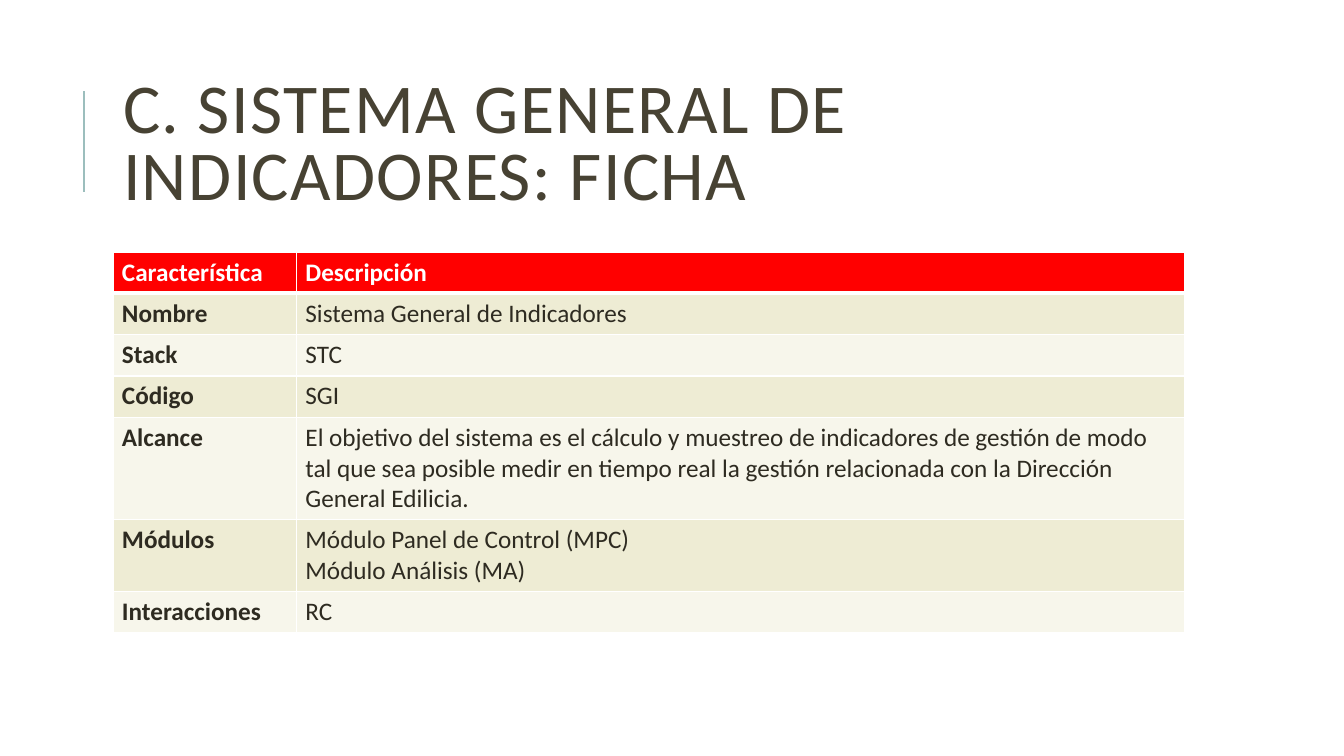
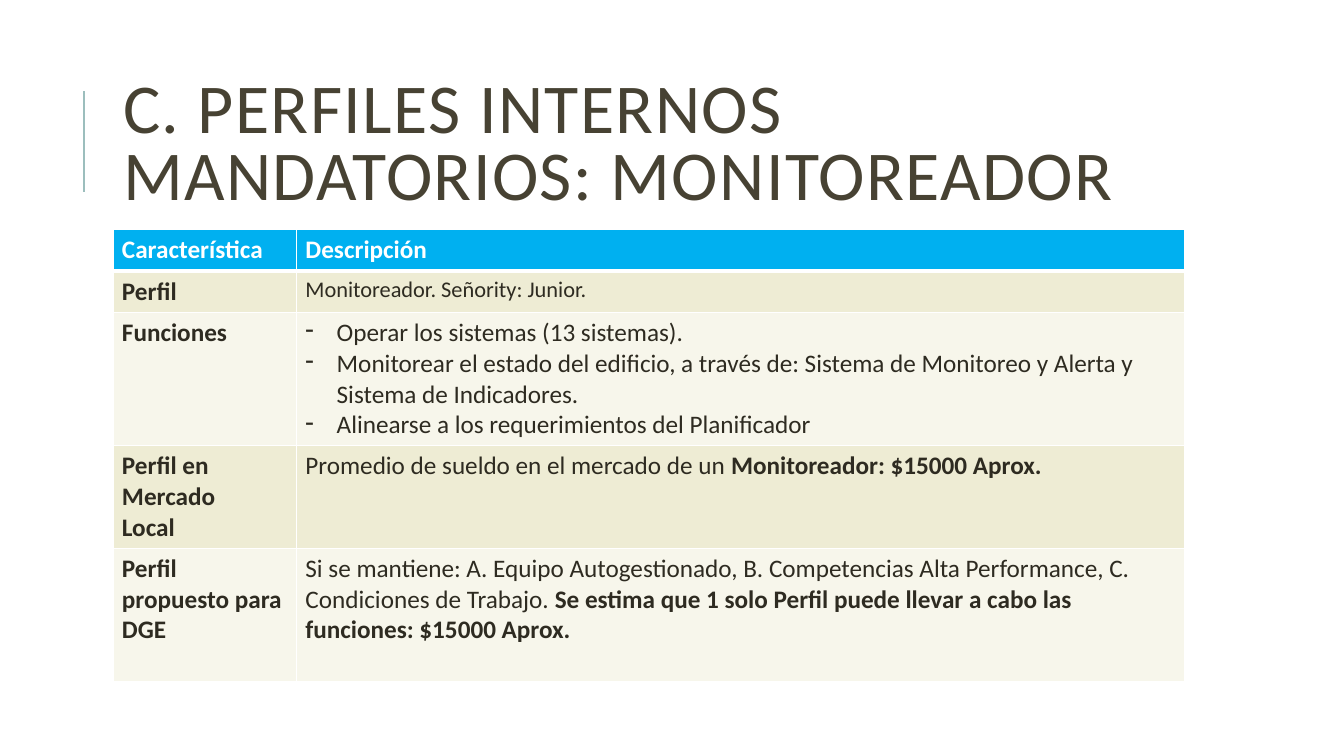
import pptx
import pptx.dml.color
import pptx.enum.shapes
import pptx.enum.text
import pptx.oxml
import pptx.oxml.ns
import pptx.util
from dataclasses import dataclass

Inches = pptx.util.Inches
Pt = pptx.util.Pt


@dataclass(frozen=True)
class Theme:
    font: str = "Calibri"
    title_size: int = 50
    body_size: int = 18
    small_size: int = 16
    title: str = "474233"
    text: str = "2E2B21"
    white: str = "FFFFFF"
    accent_line: str = "9CBEBD"
    bands: tuple = ("EEECD4", "F7F6EB")
    left: float = 1.12
    columns: tuple = (1.82, 8.81)


THEME = Theme()

# Content: each row has a label, a description, a height and optional text format.
# A text is a list of paragraphs; a pair is a plain part followed by a bold part.
HEADINGS = ("Característica", "Descripción")
HEADER_HEIGHT = 0.41
SLIDES = [
    {
        "title": "C. SISTEMA GENERAL DE INDICADORES: FICHA",
        "header_color": "FF0000",
        "top": 2.5,
        "rows": [
            (["Nombre"], ["Sistema General de Indicadores"], 0.41, {}),
            (["Stack"], ["STC"], 0.41, {}),
            (["Código"], ["SGI"], 0.41, {}),
            (["Alcance"],
             ["El objetivo del sistema es el cálculo y muestreo de indicadores de gestión "
              "de modo tal que sea posible medir en tiempo real la gestión relacionada con "
              "la Dirección General Edilicia."], 1.01, {}),
            (["Módulos"],
             ["Módulo Panel de Control (MPC)", "Módulo Análisis (MA)"], 0.71, {}),
            (["Interacciones"], ["RC"], 0.41, {}),
        ],
    },
    {
        "title": "C. PERFILES INTERNOS MANDATORIOS: MONITOREADOR",
        "header_color": "00B0F0",
        "top": 2.28,
        "rows": [
            (["Perfil"], ["Monitoreador. Señority: Junior."], 0.41,
             {"size": THEME.small_size}),
            (["Funciones"],
             ["Operar los sistemas (13 sistemas).",
              "Monitorear el estado del edificio, a través de: Sistema de Monitoreo y "
              "Alerta y Sistema de Indicadores.",
              "Alinearse a los requerimientos del Planificador"], 1.32, {"bullet": "-"}),
            (["Perfil en Mercado", "Local"],
             [("Promedio de sueldo en el mercado de un ", "Monitoreador: $15000 Aprox.")],
             1.02, {}),
            (["Perfil propuesto para DGE"],
             [("Si se mantiene: A. Equipo Autogestionado, B. Competencias Alta "
               "Performance, C. Condiciones de Trabajo. ",
               "Se estima que 1 solo Perfil puede llevar a cabo las funciones: "
               "$15000 Aprox.")], 1.32, {}),
        ],
    },
]


def rgb(color):
    return pptx.dml.color.RGBColor.from_string(color)


def xml(markup):
    return pptx.oxml.parse_xml(
        markup.replace(" ", f" {pptx.oxml.ns.nsdecls('a')} ", 1))


def write_text(text_frame, paragraphs, size=THEME.body_size, color=THEME.text,
               bold=False, line_spacing=None, tracking=None, bullet=None):
    text_frame.word_wrap = True
    for index, content in enumerate(paragraphs):
        paragraph = text_frame.add_paragraph() if index else text_frame.paragraphs[0]
        paragraph.alignment = pptx.enum.text.PP_ALIGN.LEFT
        if line_spacing:
            paragraph.line_spacing = line_spacing
        if bullet:
            properties = paragraph._p.get_or_add_pPr()
            properties.set("marL", str(Inches(0.31)))
            properties.set("indent", str(-Inches(0.31)))
            properties.append(xml(f'<a:buChar char="{bullet}"/>'))
        parts = (content,) if isinstance(content, str) else content
        for part_index, part in enumerate(parts):
            run = paragraph.add_run()
            run.text = part
            run.font.name = THEME.font
            run.font.size = Pt(size)
            run.font.bold = bold or part_index > 0
            run.font.color.rgb = rgb(color)
            if tracking:
                run._r.get_or_add_rPr().set("spc", str(tracking * 100))


def format_cell(cell, fill, top=1, bottom=1):
    cell.fill.solid()
    cell.fill.fore_color.rgb = rgb(fill)
    cell.margin_left = cell.margin_right = Inches(0.09)
    cell.margin_top = cell.margin_bottom = Inches(0.05)
    properties = cell._tc.get_or_add_tcPr()
    widths = {"lnL": 1, "lnR": 1, "lnT": top, "lnB": bottom}
    for position, (side, width) in enumerate(widths.items()):
        properties.insert(position, xml(
            f'<a:{side} w="{Pt(width)}"><a:solidFill>'
            f'<a:srgbClr val="{THEME.white}"/></a:solidFill></a:{side}>'))


def add_title(slide, text):
    title = slide.shapes.title
    title.left, title.top = Inches(THEME.left), Inches(0.64)
    title.width, title.height = Inches(sum(THEME.columns)), Inches(1.64)
    title.text_frame.auto_size = pptx.enum.text.MSO_AUTO_SIZE.NONE
    title.text_frame.vertical_anchor = pptx.enum.text.MSO_ANCHOR.MIDDLE
    write_text(title.text_frame, [text], size=THEME.title_size, color=THEME.title,
               line_spacing=0.8, tracking=1)


def add_accent_line(slide):
    line = slide.shapes.add_connector(
        pptx.enum.shapes.MSO_CONNECTOR.STRAIGHT,
        Inches(0.83), Inches(1.9), Inches(0.83), Inches(0.9))
    line.line.color.rgb = rgb(THEME.accent_line)
    line.line.width = Pt(1.5)
    line._element.spPr.append(xml("<a:effectLst />"))


def add_sheet(slide, content):
    rows = content["rows"]
    heights = [HEADER_HEIGHT] + [height for _, _, height, _ in rows]
    table = slide.shapes.add_table(
        len(heights), len(THEME.columns), Inches(THEME.left), Inches(content["top"]),
        Inches(sum(THEME.columns)), Inches(sum(heights))).table
    for column, width in zip(table.columns, THEME.columns):
        column.width = Inches(width)
    for row, height in zip(table.rows, heights):
        row.height = Inches(height)

    # Header row
    for column, heading in enumerate(HEADINGS):
        cell = table.cell(0, column)
        format_cell(cell, content["header_color"], bottom=3)
        write_text(cell.text_frame, [heading], color=THEME.white, bold=True)

    # Banded rows
    for index, (label, description, _, text_format) in enumerate(rows):
        cells = table.rows[index + 1].cells
        for cell in cells:
            format_cell(cell, THEME.bands[index % 2], top=1 if index else 3)
        write_text(cells[0].text_frame, label, bold=True)
        write_text(cells[1].text_frame, description, **text_format)


def main():
    presentation = pptx.Presentation()
    presentation.slide_width = Inches(13.33)
    presentation.slide_height = Inches(7.5)
    title_only = presentation.slide_layouts[5]
    for content in SLIDES:
        slide = presentation.slides.add_slide(title_only)
        add_accent_line(slide)
        add_title(slide, content["title"])
        add_sheet(slide, content)
    presentation.save("out.pptx")


if __name__ == "__main__":
    main()
